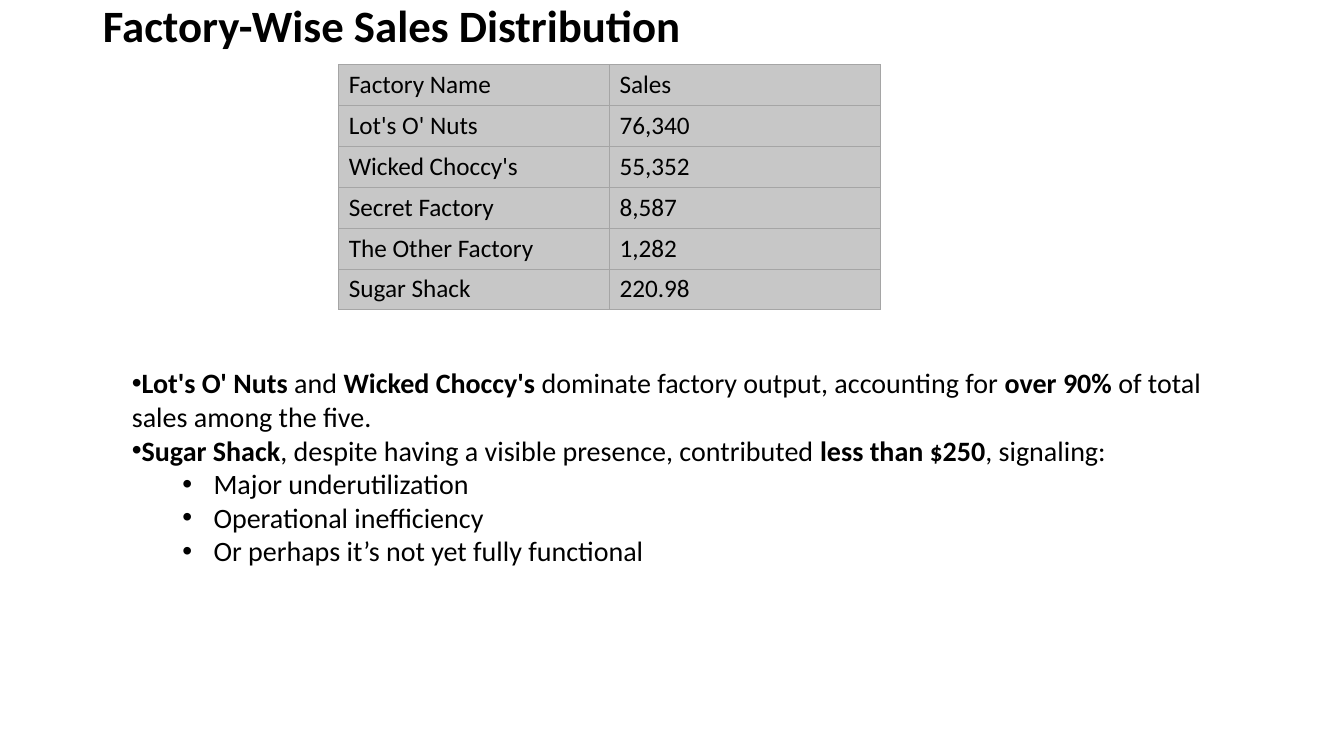
"""Build the factory-wise sales distribution slide."""
from lxml import etree
from pptx import Presentation
from pptx.dml.color import RGBColor
from pptx.enum import text
from pptx.oxml import ns
from pptx.util import Inches, Pt


def style(font, size, bold=False, color="000000"):
    font.name, font.size, font.bold = "Calibri", Pt(size), bold
    font.color.rgb = RGBColor.from_string(color)


def add_border(cell, index, side, color="A5A5A5"):
    line = etree.Element(ns.qn(f"a:{side}"), w=str(Pt(0.5)))
    fill = etree.SubElement(line, ns.qn("a:solidFill"))
    etree.SubElement(fill, ns.qn("a:srgbClr"), val=color)
    cell._tc.get_or_add_tcPr().insert(index, line)


deck = Presentation()
deck.slide_width, deck.slide_height = Inches(13.33), Inches(7.5)
page = deck.slides.add_slide(deck.slide_layouts[5])

title = page.shapes.title
title.left, title.top = Inches(0.92), Inches(-0.45)
title.width, title.height = Inches(11.5), Inches(1.45)
title.text_frame.text = "Factory-Wise Sales Distribution"
title.text_frame.vertical_anchor = text.MSO_ANCHOR.MIDDLE
heading = title.text_frame.paragraphs[0]
heading.alignment = text.PP_ALIGN.LEFT
heading.line_spacing = 0.9
style(heading.font, 32, bold=True)

sales = [
    ("Factory Name", "Sales"),
    ("Lot's O' Nuts", "76,340"),
    ("Wicked Choccy's", "55,352"),
    ("Secret Factory", "8,587"),
    ("The Other Factory", "1,282"),
    ("Sugar Shack", "220.98"),
]
table = page.shapes.add_table(len(sales), 2, Inches(3.36), Inches(0.64),
                              Inches(5.37), Inches(2.4)).table
table.first_row = table.horz_banding = False
for row, values in enumerate(sales):
    for column, value in enumerate(values):
        cell = table.cell(row, column)
        cell.text = value
        cell.vertical_anchor = text.MSO_ANCHOR.MIDDLE
        cell.fill.solid()
        cell.fill.fore_color.rgb = RGBColor.from_string("C7C7C7")
        style(cell.text_frame.paragraphs[0].font, 18)
        for index, side in enumerate(("lnL", "lnR", "lnT", "lnB")):
            add_border(cell, index, side)

findings = [
    (0, [("Lot's O' Nuts", True), (" and ", False), ("Wicked Choccy's", True),
         (" dominate factory output, accounting for ", False),
         ("over 90%", True), (" of total sales among the five.", False)]),
    (0, [("Sugar Shack", True),
         (", despite having a visible presence, contributed ", False),
         ("less than ", True), ("$", True), ("250", True),
         (", signaling:", False)]),
    (1, [("Major underutilization", False)]),
    (1, [("Operational inefficiency", False)]),
    (1, [("Or perhaps it’s not yet fully functional", False)]),
]
box = page.shapes.add_textbox(Inches(1.21), Inches(3.58), Inches(10.9), Inches(2.12))
frame = box.text_frame
frame.word_wrap = True
frame.auto_size = text.MSO_AUTO_SIZE.SHAPE_TO_FIT_TEXT
for number, (level, spans) in enumerate(findings):
    para = frame.add_paragraph() if number else frame.paragraphs[0]
    para.level = level
    properties = para._p.get_or_add_pPr()
    properties.set("marL", str(Inches(0.81 * level)))
    properties.set("indent", str(Inches(-0.31 * level)))
    etree.SubElement(properties, ns.qn("a:buFont"), typeface="Arial")
    etree.SubElement(properties, ns.qn("a:buChar"), char="•")
    for wording, bold in spans:
        span = para.add_run()
        span.text = wording
        style(span.font, 18 if wording == "$" else 20, bold)

deck.save("out.pptx")
